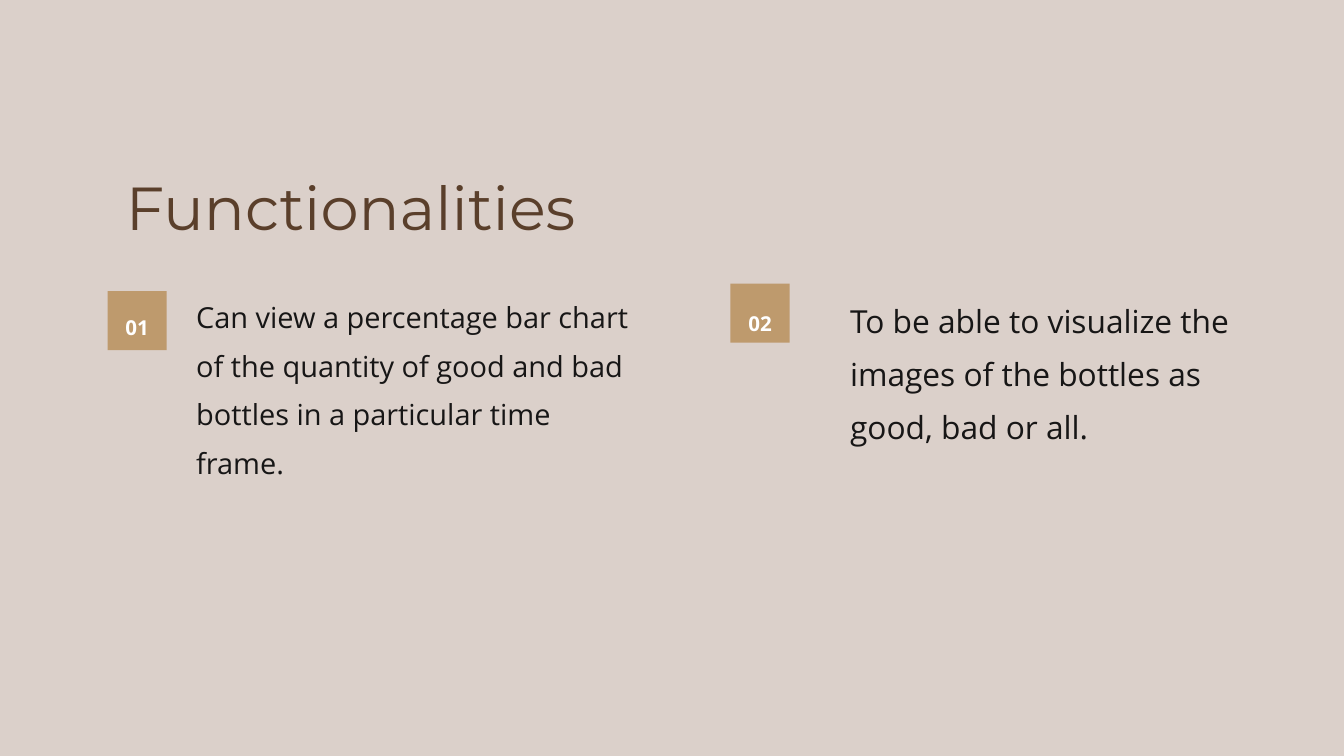
from pptx import Presentation
from pptx.dml.color import RGBColor
from pptx.enum.shapes import MSO_SHAPE
from pptx.enum.text import MSO_ANCHOR, MSO_AUTO_SIZE, PP_ALIGN
from pptx.util import Pt

RECTANGLE = MSO_SHAPE.RECTANGLE
TOP = MSO_ANCHOR.TOP
GROW = MSO_AUTO_SIZE.SHAPE_TO_FIT_TEXT
LEFT, CENTER = PP_ALIGN.LEFT, PP_ALIGN.CENTER

COLORS = {
    "background": "DBD0CA",
    "title": "5A3F2B",
    "badge": "BE9A6D",
    "number": "FFFFFF",
    "body": "171616",
}
BADGE_SIZE = 63.4
TITLE_BOX = (-208.1, 158.4, 1167.8, 78.5)
FEATURES = [
    {
        "number": "01",
        "text": "Can view a percentage bar chart of the quantity of good and bad "
                "bottles in a particular time frame.",
        "badge": (115.2, 311.8),
        "number_box": (115.2, 326.9, BADGE_SIZE, 29.5),
        "text_box": (210.2, 306, 472.3, 195.1),
        "size": 31,
    },
    {
        "number": "02",
        "text": "To be able to visualize the images of the bottles as good, bad or all.",
        "badge": (782.6, 303.8),
        "number_box": (782.6, 322.6, BADGE_SIZE, 26.6),
        "text_box": (910.8, 306.7, 442.1, 156.2),
        "size": 34,
    },
]


def color(name):
    return RGBColor.from_string(COLORS[name])


def write_text(shape, text, color_name, align, spacing, font):
    frame = shape.text_frame
    frame_format = {
        "margin_left": 0, "margin_top": 0, "margin_right": 0, "margin_bottom": 0,
        "word_wrap": True, "vertical_anchor": TOP, "auto_size": GROW,
    }
    for name, value in frame_format.items():
        setattr(frame, name, value)
    para = frame.paragraphs[0]
    para_format = {"alignment": align, "line_spacing": spacing, "space_before": Pt(0)}
    for name, value in para_format.items():
        setattr(para, name, value)
    span = para.add_run()
    span.text = text
    for name, value in font.items():
        setattr(span.font, name, value)
    span.font.color.rgb = color(color_name)


def add_title(page, box):
    title = page.shapes.title
    for name, value in zip(("left", "top", "width", "height"), box):
        setattr(title, name, Pt(value))
    write_text(title, "Functionalities", "title", CENTER, 1.3,
               {"name": "Montserrat", "size": Pt(65)})


def add_feature(page, feature):
    left, top = feature["badge"]
    badge = page.shapes.add_shape(RECTANGLE, Pt(left), Pt(top), Pt(BADGE_SIZE), Pt(BADGE_SIZE))
    badge.shadow.inherit = False
    badge.fill.solid()
    badge.fill.fore_color.rgb = color("badge")
    badge.line.fill.background()

    number = page.shapes.add_textbox(*map(Pt, feature["number_box"]))
    write_text(number, feature["number"], "number", CENTER, 1.4,
               {"name": "Open Sans", "size": Pt(22), "bold": True})
    body = page.shapes.add_textbox(*map(Pt, feature["text_box"]))
    write_text(body, feature["text"], "body", LEFT, 1.4,
               {"name": "Open Sans", "size": Pt(feature["size"])})


def main():
    deck = Presentation()
    deck.slide_width, deck.slide_height = Pt(1440), Pt(810)
    page = deck.slides.add_slide(deck.slide_layouts[5])
    page.background.fill.solid()
    page.background.fill.fore_color.rgb = color("background")
    add_title(page, TITLE_BOX)
    for feature in FEATURES:
        add_feature(page, feature)
    deck.save("out.pptx")


if __name__ == "__main__":
    main()
